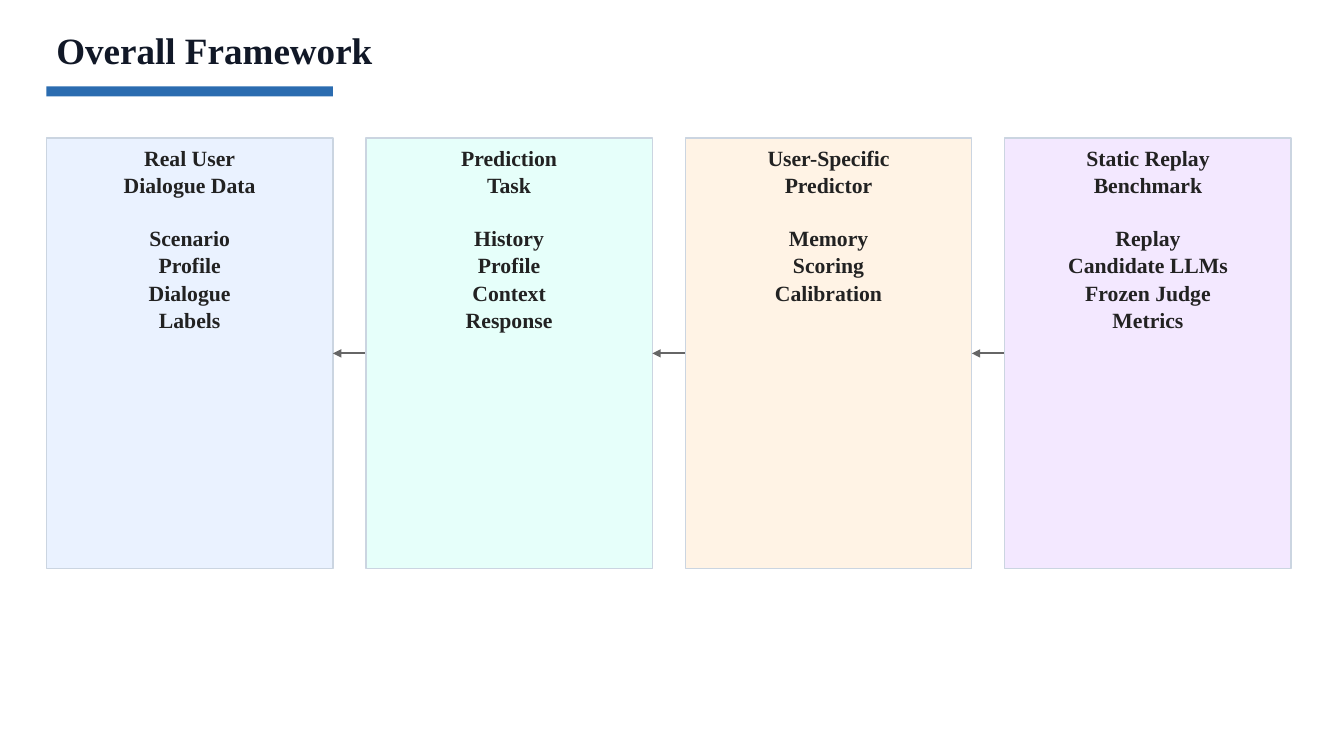
from lxml.etree import SubElement
from pptx import Presentation
from pptx.dml.color import RGBColor
from pptx.enum.shapes import MSO_CONNECTOR, MSO_SHAPE
from pptx.enum.text import MSO_ANCHOR, PP_ALIGN
from pptx.oxml.ns import qn
from pptx.util import Cm, Pt

COLORS = {
    "title": "111827", "bar": "2B6CB0", "text": "222222",
    "border": "CBD5E1", "arrow": "666666",
    "data": "EAF2FF", "task": "E6FFFA",
    "predictor": "FFF3E5", "benchmark": "F3E8FF",
}
STAGES = [
    ("data", ["Real User", "Dialogue Data"],
     ["Scenario", "Profile", "Dialogue", "Labels"]),
    ("task", ["Prediction", "Task"],
     ["History", "Profile", "Context", "Response"]),
    ("predictor", ["User-Specific", "Predictor"],
     ["Memory", "Scoring", "Calibration"]),
    ("benchmark", ["Static Replay", "Benchmark"],
     ["Replay", "Candidate LLMs", "Frozen Judge", "Metrics"]),
]
TITLE_FONT = {"name": "Times New Roman", "size": Pt(26.5), "bold": True}
STAGE_FONT = {"name": "Times New Roman", "size": Pt(15.5), "bold": True}
STAGE_FORMAT = {"alignment": PP_ALIGN.CENTER, "line_spacing": 1.05}
FRAME = {"word_wrap": True, "vertical_anchor": MSO_ANCHOR.TOP}
LEFT, STAGE_WIDTH, STAGE_PITCH = 1.17, 7.22, 8.05


def rgb(name):
    return RGBColor.from_string(COLORS[name])


def set_all(target, values):
    for name, value in values.items():
        setattr(target, name, value)


def write(p, text, font, color):
    r = p.add_run()
    r.text = text
    set_all(r.font, font)
    r.font.color.rgb = rgb(color)


def add_rect(s, x, y, w, h, fill, border=None):
    sp = s.shapes.add_shape(MSO_SHAPE.RECTANGLE, Cm(x), Cm(y), Cm(w), Cm(h))
    sp.shadow.inherit = False
    sp.fill.solid()
    sp.fill.fore_color.rgb = rgb(fill)
    if border:
        sp.line.color.rgb = rgb(border)
        sp.line.width = Pt(1)
    else:
        sp.line.fill.background()
    return sp


def add_header(s, x, y, w, h):
    tf = s.shapes.add_textbox(Cm(x), Cm(y), Cm(w), Cm(h)).text_frame
    set_all(tf, FRAME)
    p = tf.paragraphs[0]
    p.line_spacing = 1.05
    write(p, "Overall Framework", TITLE_FONT, "title")
    add_rect(s, x, y + 1.67, STAGE_WIDTH, 0.25, "bar")


def add_stage(s, x, y, w, h, fill, heading, items):
    tf = add_rect(s, x, y, w, h, fill, "border").text_frame
    set_all(tf, FRAME)
    for i, text in enumerate(heading + items):
        p = tf.add_paragraph() if i else tf.paragraphs[0]
        set_all(p, STAGE_FORMAT)
        if i == len(heading):
            p.space_before = Pt(18.6)
        write(p, text, STAGE_FONT, "text")


def add_arrow(s, x, y, length):
    line = s.shapes.add_connector(
        MSO_CONNECTOR.STRAIGHT, Cm(x), Cm(y), Cm(x + length), Cm(y))
    line.line.color.rgb = rgb("arrow")
    line.line.width = Pt(1.5)
    SubElement(line.line._get_or_add_ln(), qn("a:headEnd"), type="triangle")
    SubElement(line._element.spPr, qn("a:effectLst"))


def add_flow(s, x, y, h):
    for i, stage in enumerate(STAGES):
        left = x + i * STAGE_PITCH
        add_stage(s, left, y, STAGE_WIDTH, h, *stage)
        if i < len(STAGES) - 1:
            add_arrow(s, left + STAGE_WIDTH, y + h / 2, 0.98)


def main():
    prs = Presentation()
    set_all(prs, {"slide_width": Cm(33.87), "slide_height": Cm(19.05)})
    s = prs.slides.add_slide(prs.slide_layouts[6])
    add_header(s, LEFT, 0.51, 31.12, 1.73)
    add_flow(s, LEFT, 3.48, 10.85)
    prs.save("out.pptx")


if __name__ == "__main__":
    main()
